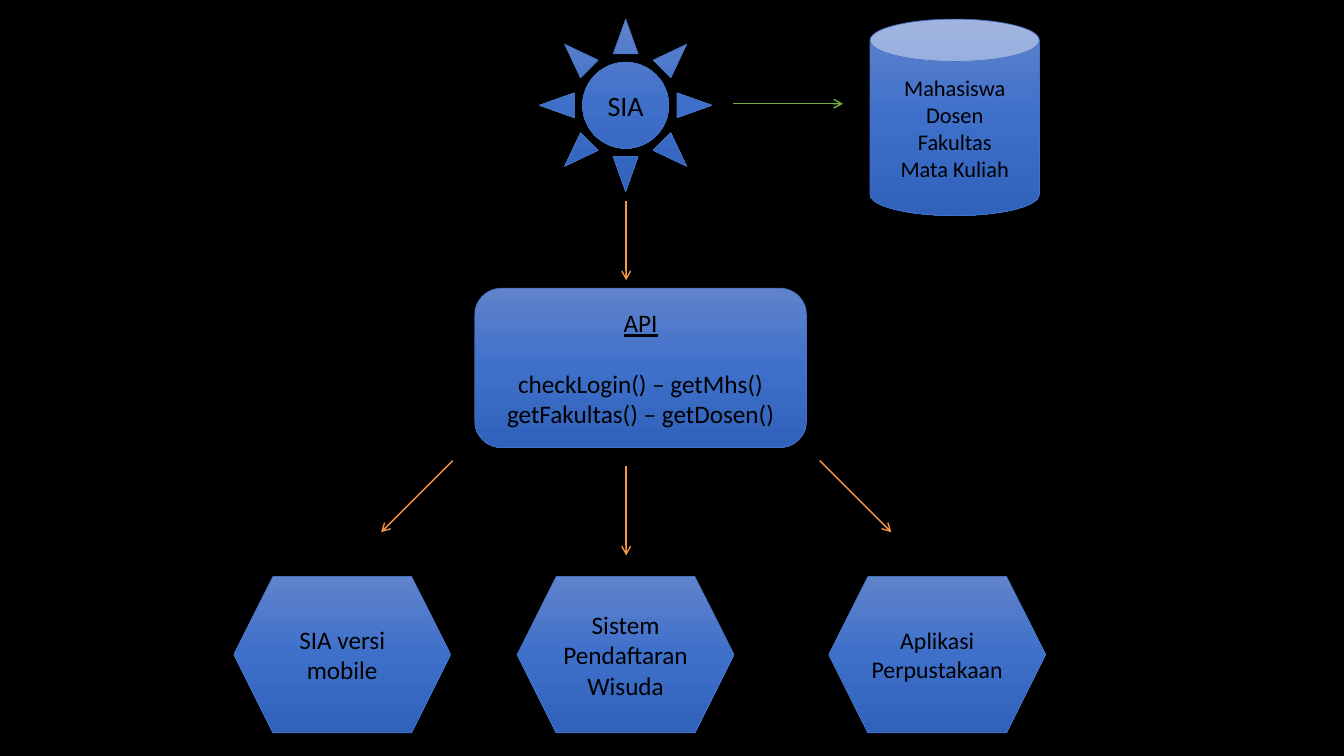
from copy import deepcopy

from pptx import Presentation, util as u
from pptx.dml.color import RGBColor
from pptx.enum import shapes, text
from pptx.oxml.ns import qn
from lxml import etree

deck = Presentation()
deck.slide_width, deck.slide_height = u.Inches(13.33), u.Inches(7.5)
slide = deck.slides.add_slide(deck.slide_layouts[6])

# Grid of 100 columns by 100 rows
COL, ROW = deck.slide_width / 100, deck.slide_height / 100
GRADIENT = [(0, "6183CB"), (0.5, "3E70CA"), (1, "3062BB")]
OUTLINE, INK = "4472C4", "000000"
ORANGE, GREEN = "F79646", "70AD47"


def colour(target, hex_code):
    target.rgb = RGBColor.from_string(hex_code)


def write(frame, words, size=18, heading=None):
    """Fill a frame with centred lines; a heading is underlined with a line of space below."""
    frame.word_wrap = True
    frame.vertical_anchor = text.MSO_ANCHOR.MIDDLE
    lines = ([heading] if heading else []) + words.split("\n")
    for i, line in enumerate(lines):
        paragraph = frame.paragraphs[0] if i == 0 else frame.add_paragraph()
        paragraph.alignment = text.PP_ALIGN.CENTER
        run = paragraph.add_run()
        run.text = line
        run.font.name, run.font.size = "Calibri", u.Pt(size)
        colour(run.font.color, INK)
        if line == heading:
            run.font.underline = True
            paragraph.space_after = u.Pt(size * 1.2)


# Background
slide.background.fill.solid()
colour(slide.background.fill.fore_color, "000000")

# Systems: kind, column, row, columns wide, rows high, words, text format
kinds = shapes.MSO_SHAPE
systems = [
    (kinds.SUN, 40.14, 2.53, 12.83, 22.8, "SIA", {"size": 20}),
    (kinds.CAN, 64.74, 2.53, 12.6, 26, "Mahasiswa\nDosen\nFakultas\nMata Kuliah", {"size": 16}),
    (kinds.ROUNDED_RECTANGLE, 35.33, 38.13, 24.68, 21.07,
     "checkLogin() – getMhs()\ngetFakultas() – getDosen()", {"heading": "API"}),
]
clients = [
    (17.4, "SIA versi mobile", 18),
    (38.48, "Sistem Pendaftaran Wisuda", 18),
    (61.67, "Aplikasi\nPerpustakaan", 17),
]
for column, client, size in clients:
    systems.append((kinds.HEXAGON, column, 76.27, 16.13, 20.67, client, {"size": size}))

for kind, column, row, wide, high, words, style in systems:
    system = slide.shapes.add_shape(
        kind, int(column * COL), int(row * ROW), int(wide * COL), int(high * ROW))
    system.shadow.inherit = False
    system.fill.gradient()
    system.fill.gradient_angle = 270
    # A new gradient has two stops; the middle one is added
    first_stop = next(system._element.iter(qn("a:gs")))
    first_stop.addnext(deepcopy(first_stop))
    for stop, (position, shade) in zip(system.fill.gradient_stops, GRADIENT):
        stop.position = position
        colour(stop.color, shade)
    colour(system.line.color, OUTLINE)
    system.line.width = u.Pt(0.5)
    write(system.text_frame, words, **style)

# Arrows: start column and row, end column and row, colour
arrows = [
    (54.54, 13.73, 62.72, 13.73, GREEN),
    (46.59, 26.53, 46.59, 37.07, ORANGE),
    (46.59, 61.6, 46.59, 73.47, ORANGE),
    (33.68, 60.93, 28.36, 70.4, ORANGE),
    (60.99, 60.93, 66.32, 70.4, ORANGE),
]
for start_col, start_row, end_col, end_row, shade in arrows:
    arrow = slide.shapes.add_connector(
        shapes.MSO_CONNECTOR.STRAIGHT,
        int(start_col * COL), int(start_row * ROW), int(end_col * COL), int(end_row * ROW))
    colour(arrow.line.color, shade)
    arrow.line.width = u.Pt(1)
    etree.SubElement(arrow.line._get_or_add_ln(), qn("a:tailEnd"), type="arrow")
    etree.SubElement(arrow._element.spPr, qn("a:effectLst"))

deck.save("out.pptx")
